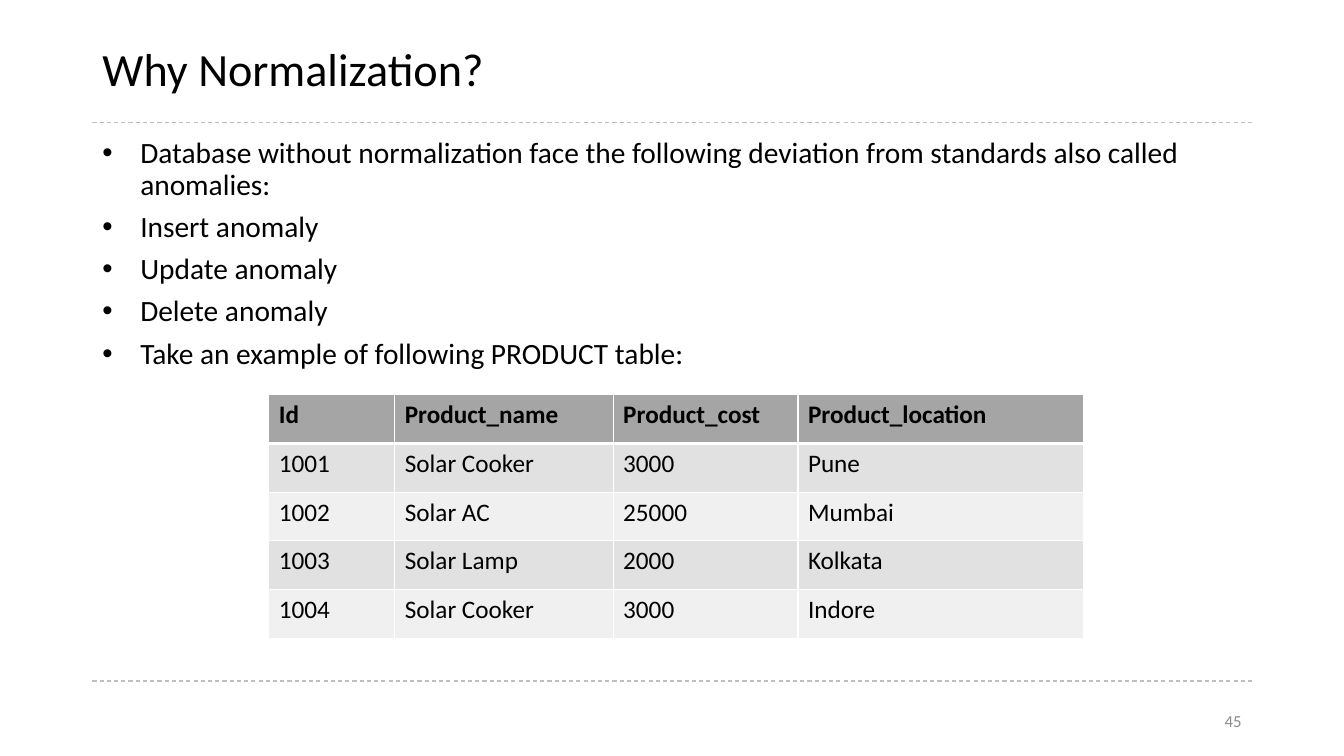
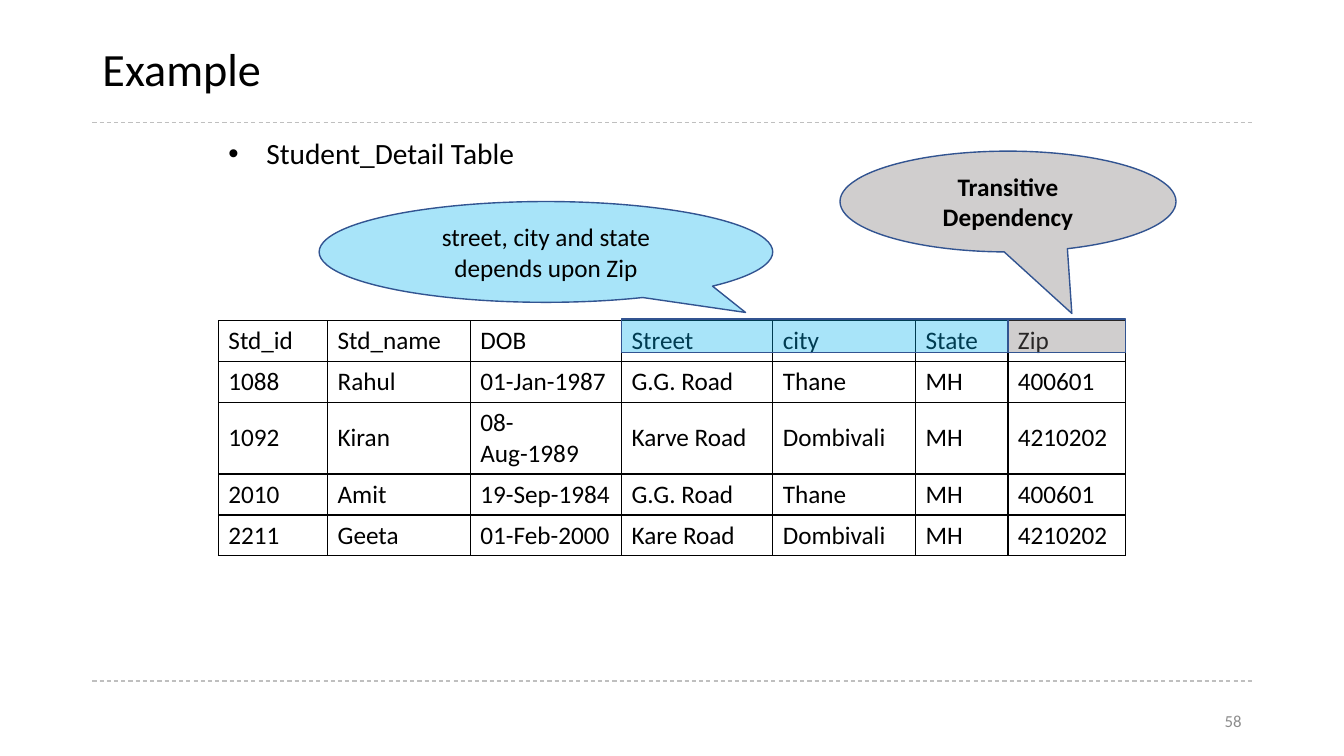
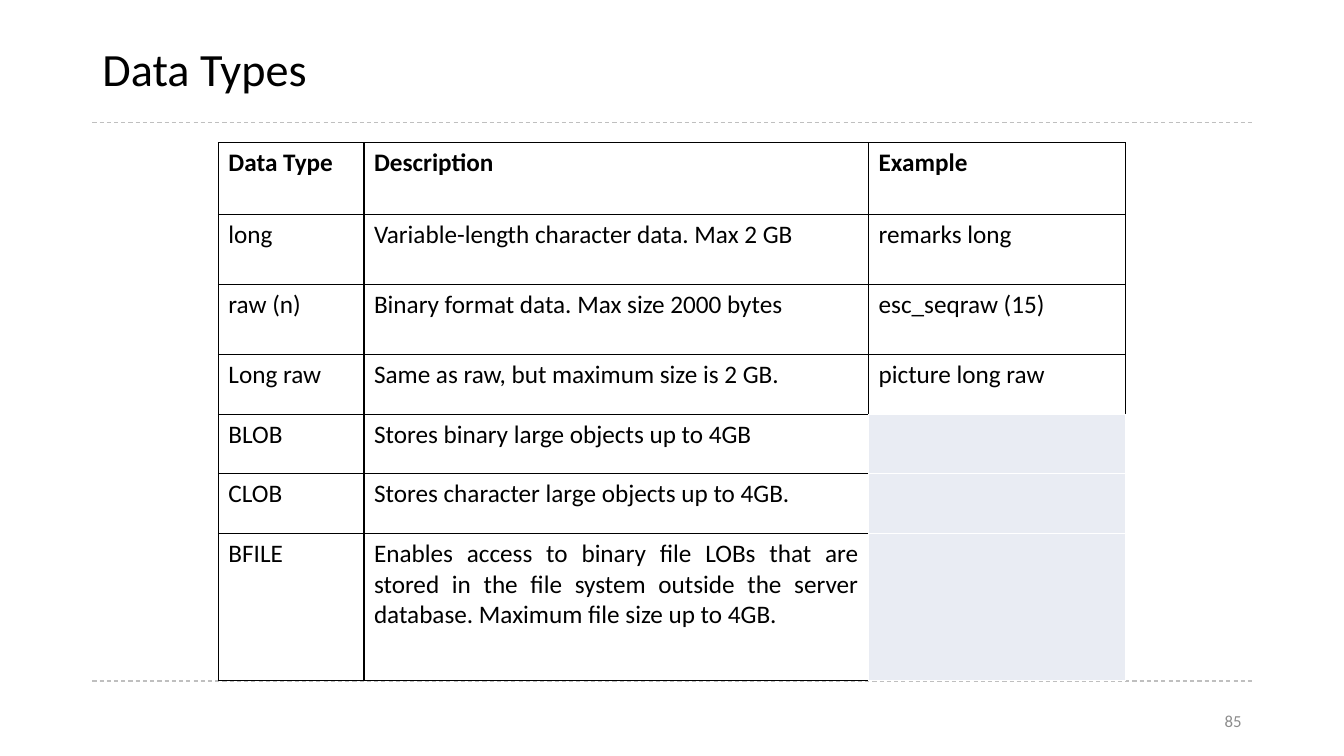
from dataclasses import dataclass

import pptx
import pptx.dml.color
import pptx.enum.dml
import pptx.enum.shapes
import pptx.enum.text
import pptx.oxml
import pptx.oxml.ns
import pptx.util
from lxml import etree

Pt = pptx.util.Pt
PP_ALIGN = pptx.enum.text.PP_ALIGN
ANCHOR = pptx.enum.text.MSO_ANCHOR
SHAPE = pptx.enum.shapes.MSO_SHAPE
qn = pptx.oxml.ns.qn


@dataclass(frozen=True)
class Theme:
    font: str = "Calibri"
    text: str = "000000"
    white: str = "FFFFFF"
    rule: str = "BFBFBF"
    number: str = "8C8C8C"
    header: str = "A5A5A5"
    bands: tuple = ("E1E1E1", "F0F0F0")
    outline: str = "325491"
    blue: str = "00B0F0"
    grey: str = "767171"
    opacity: int = 34
    title_size: float = 33
    list_size: float = 21
    cell_size: float = 18
    number_size: float = 12


THEME = Theme()


def rgb(color):
    return pptx.dml.color.RGBColor.from_string(color)


def write(tf, text, size=THEME.cell_size, color=THEME.text, bold=False,
          align=PP_ALIGN.LEFT, anchor=ANCHOR.TOP, line_spacing=1.0, gap=0):
    """Fill a text frame, one paragraph per line of text."""
    tf.word_wrap = True
    tf.vertical_anchor = anchor
    for i, line in enumerate(text.split("\n")):
        p = tf.add_paragraph() if i else tf.paragraphs[0]
        p.alignment = align
        p.line_spacing = line_spacing
        p.space_before = Pt(gap if i else 0)
        r = p.add_run()
        r.text = line
        r.font.name = THEME.font
        r.font.size = Pt(size)
        r.font.bold = bold
        r.font.color.rgb = rgb(color)


def border(cell, color, bottom=1):
    tcPr = cell._tc.get_or_add_tcPr()
    for side, width in zip("LRTB", (1, 1, 1, bottom)):
        ln = etree.SubElement(tcPr, qn(f"a:ln{side}"), w=str(Pt(width)))
        fill = etree.SubElement(ln, qn("a:solidFill"))
        etree.SubElement(fill, qn("a:srgbClr"), val=color)


class Deck:
    def __init__(self):
        self.prs = pptx.Presentation()
        self.prs.slide_width, self.prs.slide_height = Pt(960), Pt(540)
        self.s = None

    def slide(self, title, number, items=None, box=None):
        """Start a slide with its rules, title, number and optional bullet list."""
        layout = self.prs.slide_layouts[1 if items else 5]
        self.s = self.prs.slides.add_slide(layout)
        for y in (87.75, 486, 486.5):
            self.rule(y)
        self.placeholder(0, title, (66, 15, 828, 72),
                         size=THEME.title_size, anchor=ANCHOR.MIDDLE)
        if items:
            self.placeholder(1, items, box, size=THEME.list_size, gap=7.5)
        sp = self.s.shapes.add_textbox(*map(Pt, (678, 500.5, 216, 28.75)))
        write(sp.text_frame, str(number), size=THEME.number_size, color=THEME.number,
              align=PP_ALIGN.RIGHT, anchor=ANCHOR.MIDDLE)

    def rule(self, y):
        line = self.s.shapes.add_connector(
            pptx.enum.shapes.MSO_CONNECTOR.STRAIGHT, Pt(66), Pt(y), Pt(894), Pt(y))
        line.line.color.rgb = rgb(THEME.rule)
        line.line.width = Pt(0.75)
        line.line.dash_style = pptx.enum.dml.MSO_LINE.DASH
        etree.SubElement(line._element.spPr, qn("a:effectLst"))

    def placeholder(self, idx, text, box, **fmt):
        sp = self.s.placeholders[idx]
        sp.left, sp.top, sp.width, sp.height = map(Pt, box)
        sp.text_frame.auto_size = pptx.enum.text.MSO_AUTO_SIZE.NONE
        write(sp.text_frame, text, line_spacing=0.9, **fmt)

    def table(self, left, top, widths, heights, rows, banded=False, bold_header=True, **fmt):
        box = map(Pt, (left, top, sum(widths), sum(heights)))
        table = self.s.shapes.add_table(len(rows), len(widths), *box).table
        table.first_row = table.horz_banding = False
        for col, width in zip(table.columns, widths):
            col.width = Pt(width)
        for i, (row, height, values) in enumerate(zip(table.rows, heights, rows)):
            row.height = Pt(height)
            for cell, value in zip(row.cells, values):
                if banded:
                    border(cell, THEME.white, bottom=1 if i else 3)
                    cell.fill.solid()
                    cell.fill.fore_color.rgb = rgb(
                        THEME.bands[(i - 1) % 2] if i else THEME.header)
                else:
                    border(cell, THEME.text)
                    cell.fill.background()
                anchor = fmt.get("anchor", ANCHOR.TOP)
                write(cell.text_frame, value, bold=bold_header and i == 0, **fmt)
                cell.vertical_anchor = anchor

    def tint(self, kind, box, color, text=None, tail=(), bold=False):
        """Add a see-through shape; tail places the tip of a callout."""
        sp = self.s.shapes.add_shape(kind, *map(Pt, box))
        sp.shadow.inherit = False
        sp.fill.solid()
        sp.fill.fore_color.rgb = rgb(color)
        clr = sp._element.spPr.find(qn("a:solidFill")).find(qn("a:srgbClr"))
        etree.SubElement(clr, qn("a:alpha"), val=str(THEME.opacity * 1000))
        sp.line.color.rgb = rgb(THEME.outline)
        sp.line.width = Pt(1)
        for i, value in enumerate(tail):
            sp.adjustments[i] = value
        if text:
            write(sp.text_frame, text, bold=bold,
                  align=PP_ALIGN.CENTER, anchor=ANCHOR.MIDDLE)


PRODUCTS = [
    ("Id", "Product_name", "Product_cost", "Product_location"),
    ("1001", "Solar Cooker", "3000", "Pune"),
    ("1002", "Solar AC", "25000", "Mumbai"),
    ("1003", "Solar Lamp", "2000", "Kolkata"),
    ("1004", "Solar Cooker", "3000", "Indore"),
]

STUDENTS = [
    ("Std_id", "Std_name", "DOB", "Street", "city", "State", "Zip"),
    ("1088", "Rahul", "01-Jan-1987", "G.G. Road", "Thane", "MH", "400601"),
    ("1092", "Kiran", "08-Aug-1989", "Karve Road", "Dombivali", "MH", "4210202"),
    ("2010", "Amit", "19-Sep-1984", "G.G. Road", "Thane", "MH", "400601"),
    ("2211", "Geeta", "01-Feb-2000", "Kare Road", "Dombivali", "MH", "4210202"),
]

DATA_TYPES = [
    ("Data Type", "Description", "Example"),
    ("long", "Variable-length character data. Max 2 GB", "remarks long"),
    ("raw (n)", "Binary format data. Max size 2000 bytes", "esc_seqraw (15)"),
    ("Long raw", "Same as raw, but maximum size is 2 GB.", "picture long raw"),
    ("BLOB", "Stores binary large objects up to 4GB"),
    ("CLOB", "Stores character large objects up to 4GB."),
    ("BFILE", "Enables access to binary file LOBs that are stored in the file system "
              "outside the server database. Maximum file size up to 4GB."),
]


def main():
    deck = Deck()

    deck.slide("Why Normalization?", 45, "\n".join((
        "Database without normalization face the following deviation from standards "
        "also called anomalies:",
        "Insert anomaly",
        "Update anomaly",
        "Delete anomaly",
        "Take an example of following PRODUCT table:")), (66, 95, 828, 391))
    deck.table(192, 282, (90, 156, 132, 204), [34.8] * 5, PRODUCTS, banded=True)

    deck.slide("Example", 58, "Student_Detail Table", (156, 96, 648, 36))
    deck.table(156, 229, (78, 102, 108, 108, 102, 66, 84), (29.2, 29.2, 51.2, 29.2, 29.2),
               STUDENTS, bold_header=False, anchor=ANCHOR.MIDDLE)
    deck.tint(SHAPE.RECTANGLE, (720, 228, 84, 24), THEME.grey)
    deck.tint(SHAPE.OVAL_CALLOUT, (228, 144, 324, 72), THEME.blue,
              "street, city and state depends upon Zip", tail=(0.44, 0.6))
    deck.tint(SHAPE.RECTANGLE, (444, 228, 276, 24), THEME.blue)
    deck.tint(SHAPE.OVAL_CALLOUT, (600, 108, 240, 72), THEME.grey,
              "Transitive Dependency", tail=(0.19, 1.11), bold=True)

    deck.slide("Data Types", 85)
    deck.table(156, 102, (104, 360.5, 183.5), (51.5, 50, 50, 42.5, 42.5, 42.5, 105),
               DATA_TYPES, align=PP_ALIGN.JUSTIFY)

    deck.prs.save("out.pptx")


if __name__ == "__main__":
    main()
